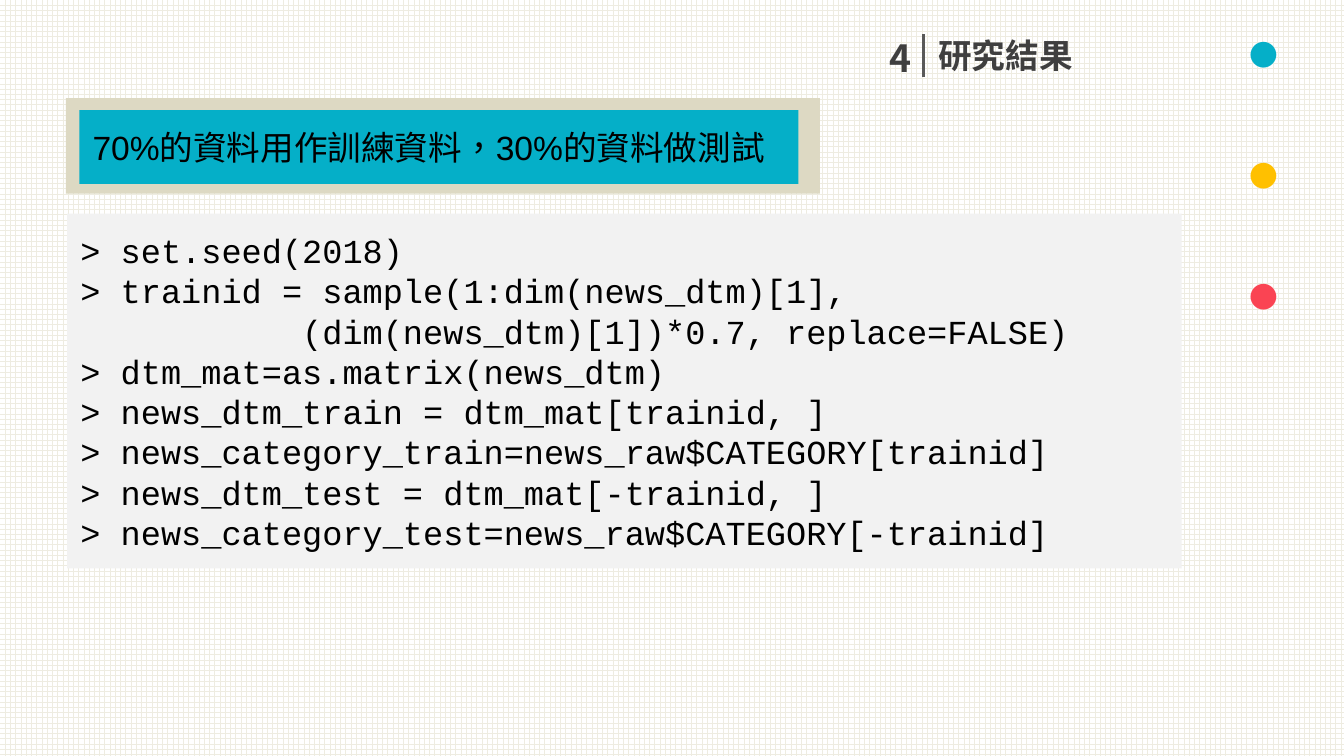
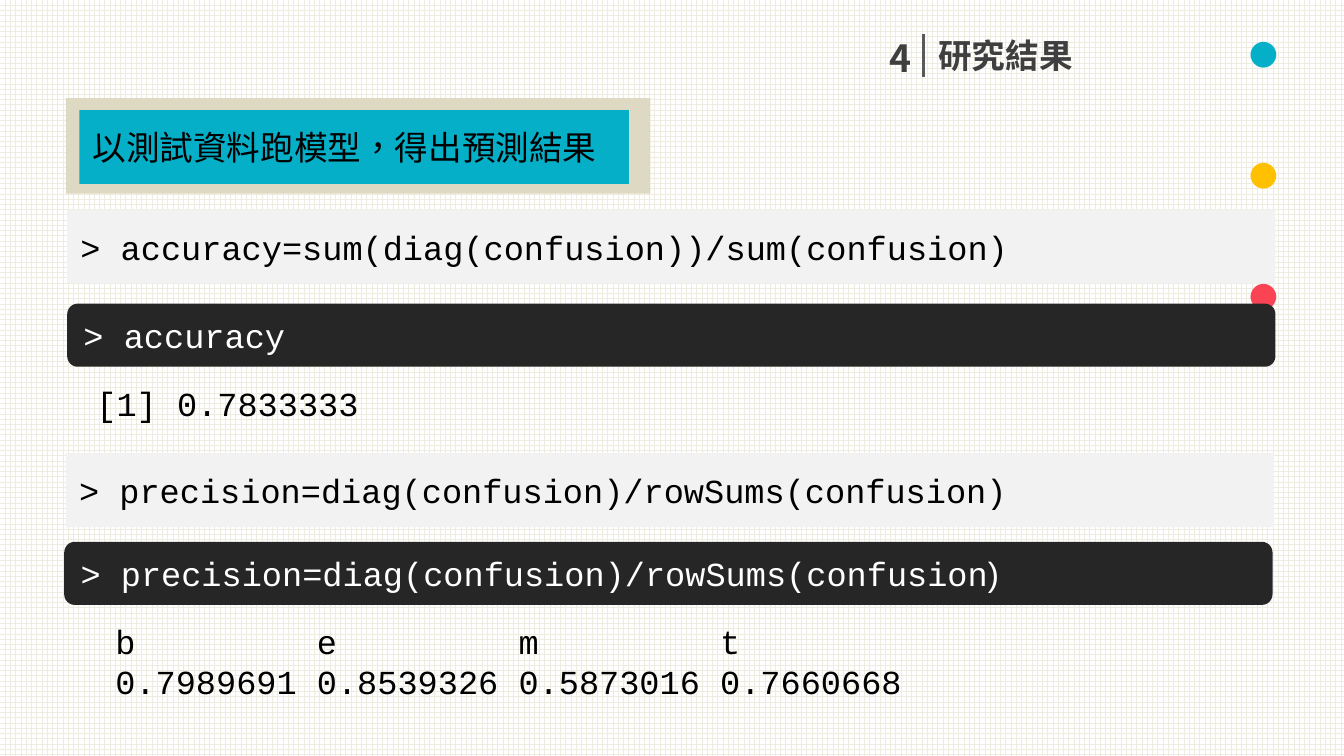
from lxml import etree
from pptx import Presentation
from pptx.dml.color import RGBColor
from pptx.enum.dml import MSO_PATTERN
from pptx.enum.lang import MSO_LANGUAGE_ID
from pptx.enum.shapes import MSO_CONNECTOR, MSO_SHAPE
from pptx.enum.text import MSO_ANCHOR, MSO_AUTO_SIZE, PP_ALIGN
from pptx.oxml.ns import qn
from pptx.util import Pt

RECTANGLE, ROUNDED = MSO_SHAPE.RECTANGLE, MSO_SHAPE.ROUNDED_RECTANGLE
STRAIGHT = MSO_CONNECTOR.STRAIGHT
LARGE_GRID = MSO_PATTERN.LARGE_GRID
CHINESE = MSO_LANGUAGE_ID.TRADITIONAL_CHINESE
TOP, MIDDLE = MSO_ANCHOR.TOP, MSO_ANCHOR.MIDDLE
LEFT, RIGHT = PP_ALIGN.LEFT, PP_ALIGN.RIGHT
NO_AUTOFIT = MSO_AUTO_SIZE.NONE

BLACK = RGBColor(0x00, 0x00, 0x00)
WHITE = RGBColor(0xFF, 0xFF, 0xFF)
GRID = RGBColor(0xEE, 0xEC, 0xE1)
TEAL = RGBColor(0x05, 0xAF, 0xC8)
YELLOW = RGBColor(0xFF, 0xC0, 0x00)
RED = RGBColor(0xFA, 0x44, 0x53)
SAND = RGBColor(0xDD, 0xD9, 0xC3)
CODE_GREY = RGBColor(0xF2, 0xF2, 0xF2)
CONSOLE_DARK = RGBColor(0x26, 0x26, 0x26)
HEADING_GREY = RGBColor(0x3F, 0x3F, 0x3F)
RULE_GREY = RGBColor(0x59, 0x59, 0x59)

SANS, MONO, CJK = "Arial", "Courier New", "Noto Sans CJK SC"
TITLE_ONLY = 5

TRAINING_CODE = """> set.seed(2018)
> trainid = sample(1:dim(news_dtm)[1],
           (dim(news_dtm)[1])*0.7, replace=FALSE)
> dtm_mat=as.matrix(news_dtm)
> news_dtm_train = dtm_mat[trainid, ]
> news_category_train=news_raw$CATEGORY[trainid]
> news_dtm_test = dtm_mat[-trainid, ]
> news_category_test=news_raw$CATEGORY[-trainid]"""

PRECISION_OUTPUT = """b         e         m         t
0.7989691 0.8539326 0.5873016 0.7660668"""


def add_run(paragraph, text, size=18, font=MONO, color=BLACK, bold=False):
    """Append one formatted run, with the East Asian font set as well."""
    run = paragraph.add_run()
    run.text = text
    run.font.size = Pt(size)
    run.font.name = font
    run.font.bold = bold
    run.font.color.rgb = color
    if font != MONO:
        run.font.language_id = CHINESE
        latin = run.font._element.find(qn("a:latin"))
        east_asian = etree.Element(qn("a:ea"), typeface=CJK)
        latin.addnext(east_asian)


def write(shape, text, anchor=TOP, align=LEFT, **run_format):
    """Write text into a shape, one paragraph per line."""
    frame = shape.text_frame
    frame.word_wrap = True
    frame.auto_size = NO_AUTOFIT
    frame.vertical_anchor = anchor
    for index, line in enumerate(text.split("\n")):
        paragraph = frame.add_paragraph() if index else frame.paragraphs[0]
        paragraph.alignment = align
        if line:
            add_run(paragraph, line, **run_format)


def add_text(slide, box, text, **text_format):
    """Add a text box."""
    shape = slide.shapes.add_textbox(*map(Pt, box))
    write(shape, text, **text_format)
    return shape


def add_panel(slide, box, fill, text="", kind=RECTANGLE, **text_format):
    """Add a borderless filled panel with vertically centred text."""
    shape = slide.shapes.add_shape(kind, *map(Pt, box))
    shape.shadow.inherit = False
    shape.fill.solid()
    shape.fill.fore_color.rgb = fill
    shape.line.fill.background()
    write(shape, text, anchor=MIDDLE, **text_format)
    return shape


def add_dots(slide, box):
    """Add the three coloured dots, which wrap down the right edge."""
    paragraph = add_text(slide, box, "", align=RIGHT).text_frame.paragraphs[0]
    for text, color in (("· ", TEAL), ("· ", YELLOW), ("·", RED)):
        add_run(paragraph, text, size=54, font=CJK, color=color, bold=True)


def add_header(slide, box, number, title):
    """Add the chapter number, the upright rule and the title."""
    left, top, width, height = box
    number_width = 62
    rule = left + number_width - 0.7
    heading = {"font": CJK, "color": HEADING_GREY, "bold": True}
    placeholder = slide.shapes.title
    placeholder.left, placeholder.top = Pt(left + number_width), Pt(top)
    placeholder.width, placeholder.height = Pt(width - number_width), Pt(height - 3)
    write(placeholder, title, **heading)
    add_text(slide, (left, top, number_width, height), number,
             align=RIGHT, size=20, **heading)
    line = slide.shapes.add_connector(
        STRAIGHT, Pt(rule), Pt(top + 26), Pt(rule), Pt(top + 3))
    line.line.color.rgb = RULE_GREY
    line.line.width = Pt(1.5)
    etree.SubElement(line._element.spPr, qn("a:effectLst"))


def add_banner(slide, box, text):
    """Add the teal statement on its sand-coloured frame."""
    left, top, width, height = box
    add_panel(slide, box, SAND)
    add_panel(slide, (left + 7.2, top + 6.4, width - 18.7, height - 11.5),
              TEAL, text, font=SANS)


def add_console(slide, box, text):
    """Add a dark rounded console bar."""
    return add_panel(slide, box, CONSOLE_DARK, text, ROUNDED, color=WHITE)


def add_result_slide(presentation, banner_width, statement):
    """Add a slide with the dots, header and banner of the chapter."""
    slide = presentation.slides.add_slide(presentation.slide_layouts[TITLE_ONLY])
    add_dots(slide, (592.6, -7.2, 118.8, 72.7))
    add_header(slide, (433.4, 15.1, 300, 31.7), "4", "研究結果")
    add_banner(slide, (35.3, 52.6, banner_width, 51.1), statement)
    return slide


def add_training_slide(presentation):
    """Add the slide on splitting the data."""
    slide = add_result_slide(
        presentation, 403.9, "70%的資料用作訓練資料，30%的資料做測試")
    add_panel(slide, (36, 114.5, 597, 190), CODE_GREY, TRAINING_CODE)


def add_prediction_slide(presentation):
    """Add the slide on accuracy and precision."""
    slide = add_result_slide(presentation, 313.2, "以測試資料跑模型，得出預測結果")
    width, code_height, console_height = 647.3, 39.6, 33.8
    add_panel(slide, (36, 112.3, width, code_height), CODE_GREY,
              "> accuracy=sum(diag(confusion))/sum(confusion)")
    add_console(slide, (36, 162.7, width, console_height), "> accuracy")
    add_text(slide, (44.6, 201.6, 273.6, 28.8), "[1] 0.7833333")
    add_panel(slide, (35.3, 242.8, width, code_height), CODE_GREY,
              "> precision=diag(confusion)/rowSums(confusion)")
    console = add_console(slide, (34.4, 290.3, width, console_height),
                          "> precision=diag(confusion)/rowSums(confusion")
    add_run(console.text_frame.paragraphs[0], ")", font=SANS, color=WHITE)
    add_text(slide, (54.7, 329, 564.5, 51.1), PRECISION_OUTPUT)


def main():
    """Build and save the presentation."""
    presentation = Presentation()
    presentation.slide_width, presentation.slide_height = Pt(720), Pt(405)
    fill = presentation.slide_master.background.fill
    fill.patterned()
    fill.pattern = LARGE_GRID
    fill.fore_color.rgb = GRID
    fill.back_color.rgb = WHITE
    add_training_slide(presentation)
    add_prediction_slide(presentation)
    presentation.save("out.pptx")


if __name__ == "__main__":
    main()
